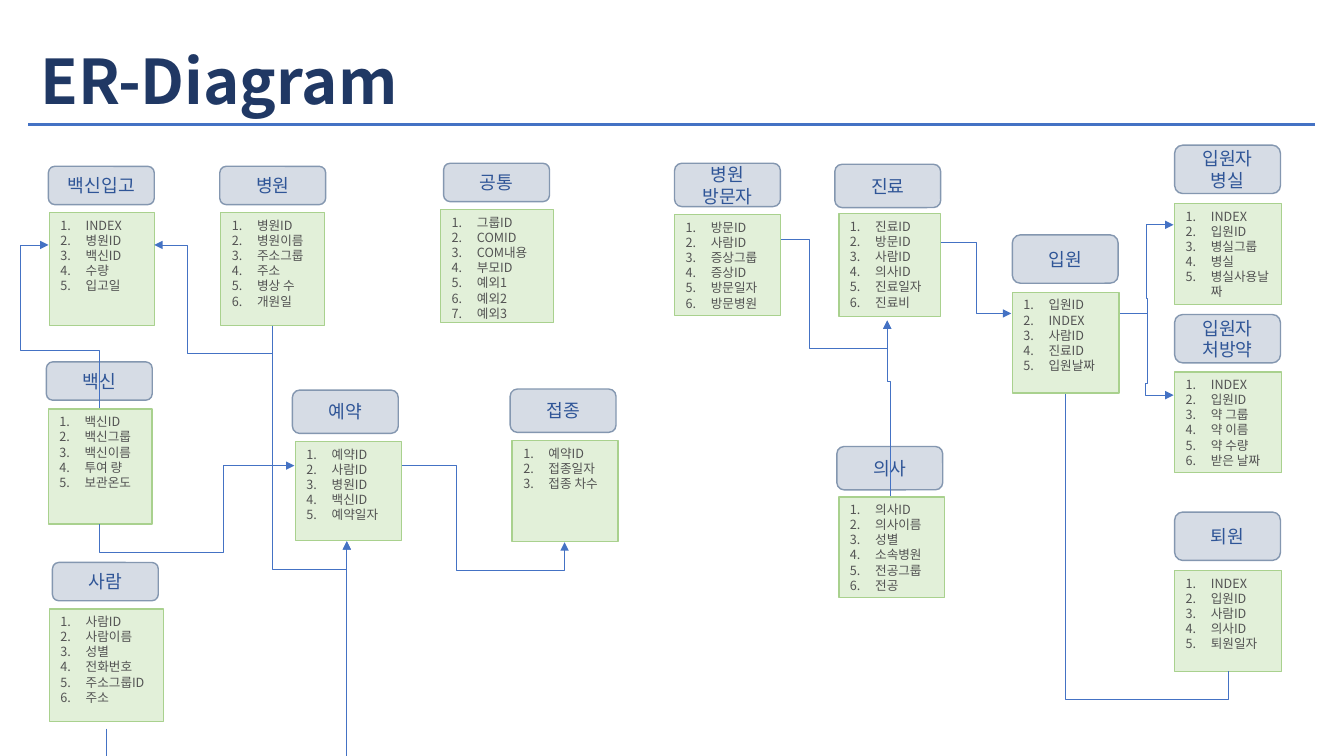
"""Build the hospital ER-diagram slide: entity cards joined by routed arrows."""
from lxml import etree
from pptx import Presentation
from pptx import util as u
from pptx.dml.color import RGBColor
from pptx.enum import shapes, text
from pptx.oxml.ns import qn

THEME = {
    "font": "Noto Sans CJK KR",
    "title": "203864", "accent": "4472C4", "white": "FFFFFF",
    "head_fill": "D6DCE5", "head_line": "8497B0", "head_text": "2F5597",
    "field_fill": "E2F0D9", "field_line": "A9D18E", "field_text": "535353",
    "title_size": 44, "head_size": 13, "field_size": 9,
    "border": 1, "link": 0.5,
}


def write(frame, lines, size, color, bold=False, align=text.PP_ALIGN.LEFT,
          anchor=text.MSO_ANCHOR.MIDDLE, inset=(0.1, 0.05), spacing=1.0, numbered=False):
    """Fill a text frame with one paragraph per line."""
    frame.word_wrap = True
    frame.auto_size = text.MSO_AUTO_SIZE.NONE
    frame.vertical_anchor = anchor
    frame.margin_left = frame.margin_right = u.Inches(inset[0])
    frame.margin_top = frame.margin_bottom = u.Inches(inset[1])
    for i, line in enumerate(lines):
        para = frame.paragraphs[0] if i == 0 else frame.add_paragraph()
        para.alignment = align
        para.line_spacing = spacing
        run = para.add_run()
        run.text = line
        run.font.size = u.Pt(size)
        run.font.bold = bold
        run.font.color.rgb = RGBColor.from_string(color)
        run.font.name = THEME["font"]
        etree.SubElement(run.font._element, qn("a:ea"), typeface=THEME["font"])
        if numbered:
            props = para._p.get_or_add_pPr()
            props.set("marL", str(u.Inches(0.25)))
            props.set("indent", str(u.Inches(-0.25)))
            etree.SubElement(props, qn("a:buAutoNum"), type="arabicPeriod")


def box(parent, kind, area, fill, line):
    """Add a filled, bordered shape without a shadow."""
    shape = parent.add_shape(kind, *map(u.Inches, area))
    shape.shadow.inherit = False
    shape.fill.solid()
    shape.fill.fore_color.rgb = RGBColor.from_string(fill)
    shape.line.color.rgb = RGBColor.from_string(line)
    shape.line.width = u.Pt(THEME["border"])
    return shape


deck = Presentation()
deck.slide_width, deck.slide_height = u.Inches(13.33), u.Inches(7.5)
slide = deck.slides.add_slide(deck.slide_layouts[5])

title = slide.shapes.title
title.left, title.top, title.width, title.height = map(u.Inches, (0.3, 0.32, 11.39, 1.04))
write(title.text_frame, ["ER-Diagram"], THEME["title_size"], THEME["title"],
      bold=True, spacing=0.9)
box(slide.shapes, shapes.MSO_SHAPE.RECTANGLE, (0.27, 1.21, 12.78, 0.05),
    THEME["accent"], THEME["white"])

HEAD_WIDTH = 1.05
entities = [
    (["공통"], (4.4, 1.62, 0.38), (4.37, 2.08, 1.12, 1.12),
     ["그룹ID", "COMID", "COM내용", "부모ID", "예외1", "예외2", "예외3"]),
    (["사람"], (0.52, 5.58, 0.38), (0.49, 6.04, 1.13, 1.12),
     ["사람ID", "사람이름", "성별", "전화번호", "주소그룹ID", "주소"]),
    (["병원"], (2.18, 1.65, 0.38), (2.19, 2.11, 1.03, 1.12),
     ["병원ID", "병원이름", "주소그룹", "주소", "병상 수", "개원일"]),
    (["백신"], (0.46, 3.59, 0.38), (0.48, 4.06, 1.03, 1.14),
     ["백신ID", "백신그룹", "백신이름", "투여 량", "보관온도"]),
    (["의사"], (8.3, 4.43, 0.43), (8.32, 4.93, 1.05, 1),
     ["의사ID", "의사이름", "성별", "소속병원", "전공그룹", "전공"]),
    (["예약"], (2.9, 3.87, 0.43), (2.93, 4.38, 1.05, 0.98),
     ["예약ID", "사람ID", "병원ID", "백신ID", "예약일자"]),
    (["접종"], (5.06, 3.86, 0.43), (5.08, 4.37, 1.05, 1),
     ["예약ID", "접종일자", "접종 차수"]),
    (["병원", "방문자"], (6.69, 1.62, 0.43), (6.69, 2.13, 1.05, 1),
     ["방문ID", "사람ID", "증상그룹", "증상ID", "방문일자", "방문병원"]),
    (["백신입고"], (0.48, 1.65, 0.38), (0.49, 2.11, 1.04, 1.12),
     ["INDEX", "병원ID", "백신ID", "수량", "입고일"]),
    (["진료"], (8.28, 1.63, 0.43), (8.32, 2.12, 1.01, 1.02),
     ["진료ID", "방문ID", "사람ID", "의사ID", "진료일자", "진료비"]),
    (["입원"], (10.04, 2.33, 0.48), (10.04, 2.9, 1.06, 1),
     ["입원ID", "INDEX", "사람ID", "진료ID", "입원날짜"]),
    (["퇴원"], (11.65, 5.08, 0.48), (11.65, 5.66, 1.06, 1),
     ["INDEX", "입원ID", "사람ID", "의사ID", "퇴원일자"]),
    (["입원자", "병실"], (11.65, 1.44, 0.48), (11.65, 2.02, 1.06, 1),
     ["INDEX", "입원ID", "병실그룹", "병실", "병실사용날짜"]),
    (["입원자", "처방약"], (11.65, 3.12, 0.48), (11.65, 3.69, 1.06, 1),
     ["INDEX", "입원ID", "약 그룹", "약 이름", "약 수량", "받은 날짜"]),
]
for name, (left, top, height), field_area, fields in entities:
    card = slide.shapes.add_group_shape().shapes
    head = box(card, shapes.MSO_SHAPE.ROUNDED_RECTANGLE, (left, top, HEAD_WIDTH, height),
               THEME["head_fill"], THEME["head_line"])
    write(head.text_frame, name, THEME["head_size"], THEME["head_text"],
          align=text.PP_ALIGN.CENTER, inset=(0.05, 0))
    listing = box(card, shapes.MSO_SHAPE.RECTANGLE, field_area,
                  THEME["field_fill"], THEME["field_line"])
    write(listing.text_frame, fields, THEME["field_size"], THEME["field_text"],
          anchor=text.MSO_ANCHOR.TOP, inset=(0.11, 0.05), numbered=True)

relations = [
    ([(11.11, 3.11), (11.38, 3.11), (11.38, 2.96), (11.37, 2.96), (11.37, 2.23), (11.64, 2.23)], True),
    ([(11.11, 3.11), (11.38, 3.11), (11.38, 3.8), (11.36, 3.8), (11.36, 3.92), (11.64, 3.92)], True),
    ([(10.57, 3.91), (10.57, 6.94), (12.18, 6.94), (12.18, 6.66)], False),
    ([(7.75, 2.37), (8.03, 2.37), (8.03, 3.46), (8.8, 3.46), (8.8, 3.18)], True),
    ([(8.83, 4.92), (8.83, 3.78), (8.8, 3.78), (8.8, 3.18)], True),
    ([(3.99, 4.62), (4.53, 4.62), (4.53, 5.66), (5.6, 5.66), (5.6, 5.38)], True),
    ([(2.7, 3.23), (2.7, 3.51), (1.86, 3.51), (1.86, 2.43), (1.53, 2.43)], True),
    ([(0.99, 4.05), (0.99, 3.48), (0.2, 3.48), (0.2, 2.43), (0.48, 2.43)], True),
    ([(2.7, 3.23), (2.7, 5.65), (3.44, 5.65), (3.44, 5.37)], True),
    ([(1.05, 7.23), (1.05, 7.51), (3.44, 7.51), (3.44, 5.37)], True),
    ([(0.99, 5.2), (0.99, 5.48), (2.22, 5.48), (2.22, 4.62), (2.92, 4.62)], True),
    ([(9.33, 2.4), (9.68, 2.4), (9.68, 3.11), (10.03, 3.11)], True),
]
for route, has_arrow in relations:
    start, *bends = [(u.Inches(x), u.Inches(y)) for x, y in route]
    builder = slide.shapes.build_freeform(*start)
    builder.add_line_segments(bends, close=False)
    link = builder.convert_to_shape()
    link.shadow.inherit = False
    link.fill.background()
    link.line.color.rgb = RGBColor.from_string(THEME["accent"])
    link.line.width = u.Pt(THEME["link"])
    if has_arrow:
        etree.SubElement(link.line._get_or_add_ln(), qn("a:tailEnd"), type="triangle")

deck.save("out.pptx")
